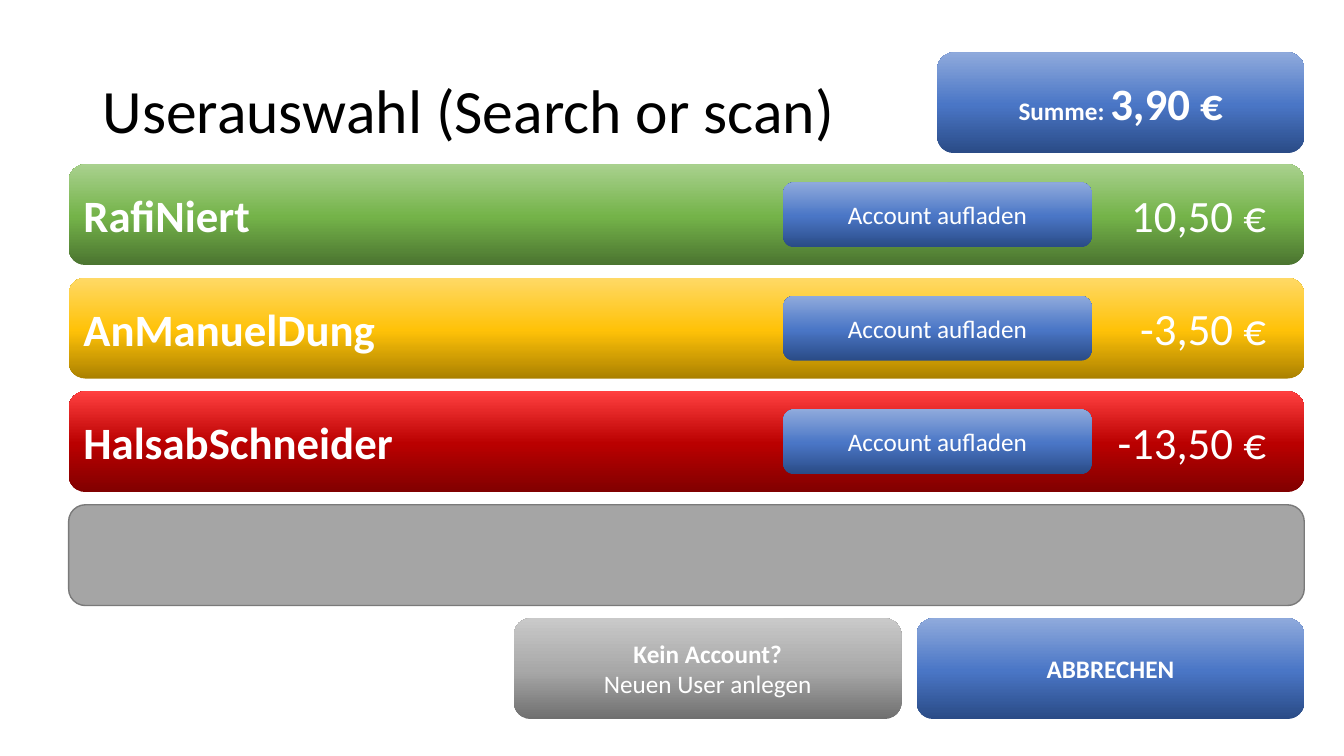
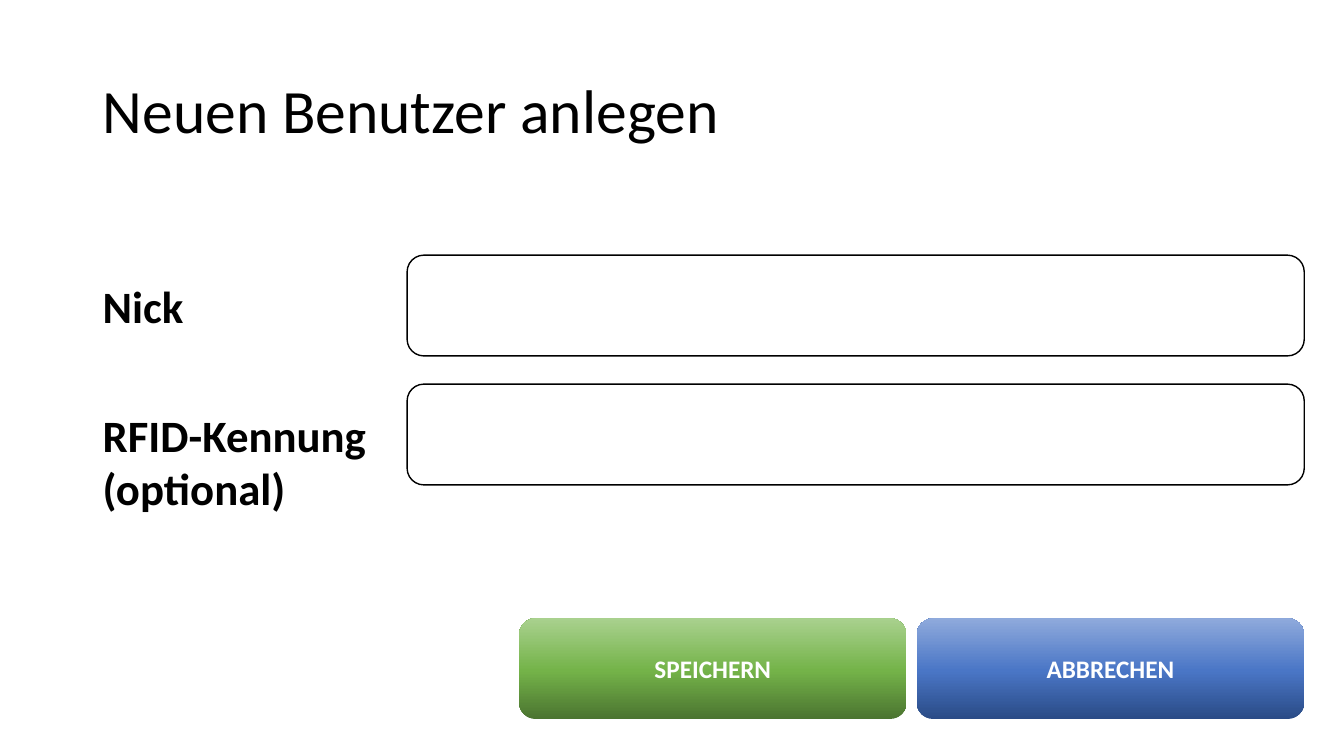
"""Build the two account screens: user selection and new user form."""
import copy

import pptx
import pptx.dml.color
import pptx.enum.shapes
import pptx.enum.text
import pptx.oxml.ns
import pptx.util

Cm = pptx.util.Cm
Pt = pptx.util.Pt
RGBColor = pptx.dml.color.RGBColor
ALIGN = pptx.enum.text.PP_ALIGN
MIDDLE = pptx.enum.text.MSO_ANCHOR.MIDDLE

FONT = "Calibri"
BLACK = RGBColor(0x00, 0x00, 0x00)
WHITE = RGBColor(0xFF, 0xFF, 0xFF)
GRAY = RGBColor(0xA5, 0xA5, 0xA5)
GRAY_LINE = RGBColor(0x7A, 0x7A, 0x7A)
BLUE_FADE = (RGBColor(0x2A, 0x4B, 0x86), RGBColor(0x4A, 0x76, 0xC6), RGBColor(0x8F, 0xAA, 0xDC))
GREEN_FADE = (RGBColor(0x4B, 0x74, 0x30), RGBColor(0x74, 0xB3, 0x49), RGBColor(0xA9, 0xD1, 0x8E))
YELLOW_FADE = (RGBColor(0xAB, 0x81, 0x00), RGBColor(0xFF, 0xC2, 0x08), RGBColor(0xFF, 0xD9, 0x66))
RED_FADE = (RGBColor(0x81, 0x00, 0x00), RGBColor(0xBA, 0x00, 0x00), RGBColor(0xFF, 0x40, 0x40))
GRAY_FADE = (RGBColor(0x6F, 0x6F, 0x6F), RGBColor(0xA8, 0xA8, 0xA8), RGBColor(0xC9, 0xC9, 0xC9))

RIGHT = 32.87
ROW_LEFT, ROW_TOP, ROW_STEP, ROW_HEIGHT = 1.73, 4.14, 2.86, 2.54
ROW_WIDTH = RIGHT - ROW_LEFT
BUTTON_WIDTH = 9.77
BUTTON_TOP = ROW_TOP + 4 * ROW_STEP
TEXT_LEFT = 2.34
INNER_GAP, INNER_HEIGHT = 0.46, 1.63


def add_box(page, left, top, width, height, fill, line=None):
    """Add a rounded box with a solid fill or a three-colour fade."""
    box = page.shapes.add_shape(
        pptx.enum.shapes.MSO_SHAPE.ROUNDED_RECTANGLE, Cm(left), Cm(top), Cm(width), Cm(height))
    box.shadow.inherit = False
    if isinstance(fill, RGBColor):
        box.fill.solid()
        box.fill.fore_color.rgb = fill
    else:
        box.fill.gradient()
        box.fill.gradient_angle = 90
        stops = box.element.spPr.find(".//" + pptx.oxml.ns.qn("a:gsLst"))
        stops.insert(1, copy.deepcopy(stops[0]))
        for stop, position, color in zip(box.fill.gradient_stops, (0, 0.48, 1), fill):
            stop.position = position
            stop.color.rgb = color
    if line is None:
        box.line.fill.background()
    else:
        box.line.color.rgb = line
        box.line.width = Pt(1)
    return box


def write(box, text, size, color=WHITE, bold=False, align=ALIGN.LEFT, wrap=True):
    """Set the text of a box and style its paragraphs."""
    frame = box.text_frame
    frame.text = text
    frame.word_wrap = wrap
    for para in frame.paragraphs:
        para.alignment = align
        para.font.name = FONT
        para.font.size = Pt(size)
        para.font.bold = bold
        para.font.color.rgb = color
    return frame


deck = pptx.Presentation()
deck.slide_width, deck.slide_height = Cm(33.87), Cm(19.05)

pages = []
for heading in ("Userauswahl (Search or scan)", "Neuen Benutzer anlegen"):
    page = deck.slides.add_slide(deck.slide_layouts[6])
    pages.append(page)
    title = page.shapes.add_textbox(Cm(TEXT_LEFT), Cm(1.02), Cm(29.21), Cm(3.68))
    frame = write(title, heading, 44, BLACK)
    frame.vertical_anchor = MIDDLE
    frame.paragraphs[0].line_spacing = 0.9
    cancel = add_box(page, RIGHT - BUTTON_WIDTH, BUTTON_TOP, BUTTON_WIDTH, ROW_HEIGHT, BLUE_FADE)
    write(cancel, "ABBRECHEN", 18, bold=True, align=ALIGN.CENTER)
selection, form = pages

accounts = (
    ("RafiNiert", "10,50 €", GREEN_FADE),
    ("AnManuelDung", "-3,50 €", YELLOW_FADE),
    ("HalsabSchneider", "-13,50 €", RED_FADE),
)
for index, (name, amount, fade) in enumerate(accounts):
    top = ROW_TOP + index * ROW_STEP
    row = add_box(selection, ROW_LEFT, top, ROW_WIDTH, ROW_HEIGHT, fade)
    write(row, name, 32, bold=True)
    charge = add_box(selection, 19.74, top + INNER_GAP, 7.77, INNER_HEIGHT, BLUE_FADE)
    write(charge, "Account aufladen", 18, align=ALIGN.CENTER)
    balance = selection.shapes.add_textbox(
        Cm(27.86), Cm(top + INNER_GAP), Cm(4.3), Cm(INNER_HEIGHT))
    write(balance, amount, 32, align=ALIGN.RIGHT)
add_box(selection, ROW_LEFT, ROW_TOP + 3 * ROW_STEP, ROW_WIDTH, ROW_HEIGHT, GRAY, GRAY_LINE)

total = add_box(selection, 23.62, 1.32, RIGHT - 23.62, ROW_HEIGHT, BLUE_FADE)
frame = write(total, "Summe: ", 18, bold=True, align=ALIGN.CENTER)
span = frame.paragraphs[0].add_run()
span.text = "3,90 €"
span.font.size = Pt(32)

register = add_box(selection, 12.95, BUTTON_TOP, BUTTON_WIDTH, ROW_HEIGHT, GRAY_FADE)
frame = write(register, "Kein Account?\nNeuen User anlegen", 18, bold=True, align=ALIGN.CENTER)
frame.paragraphs[1].font.bold = False

for index, caption in enumerate(("Nick", "RFID-Kennung\n(optional)")):
    top = 6.43 + index * 3.25
    add_box(form, 10.26, top, RIGHT - 10.26, ROW_HEIGHT, WHITE, BLACK)
    label = form.shapes.add_textbox(
        Cm(TEXT_LEFT), Cm(top + INNER_GAP), Cm(7.21), Cm(INNER_HEIGHT))
    write(label, caption, 32, BLACK, bold=True, wrap=False)

save = add_box(form, 13.08, BUTTON_TOP, BUTTON_WIDTH, ROW_HEIGHT, GREEN_FADE)
write(save, "SPEICHERN", 18, bold=True, align=ALIGN.CENTER)

deck.save("out.pptx")
